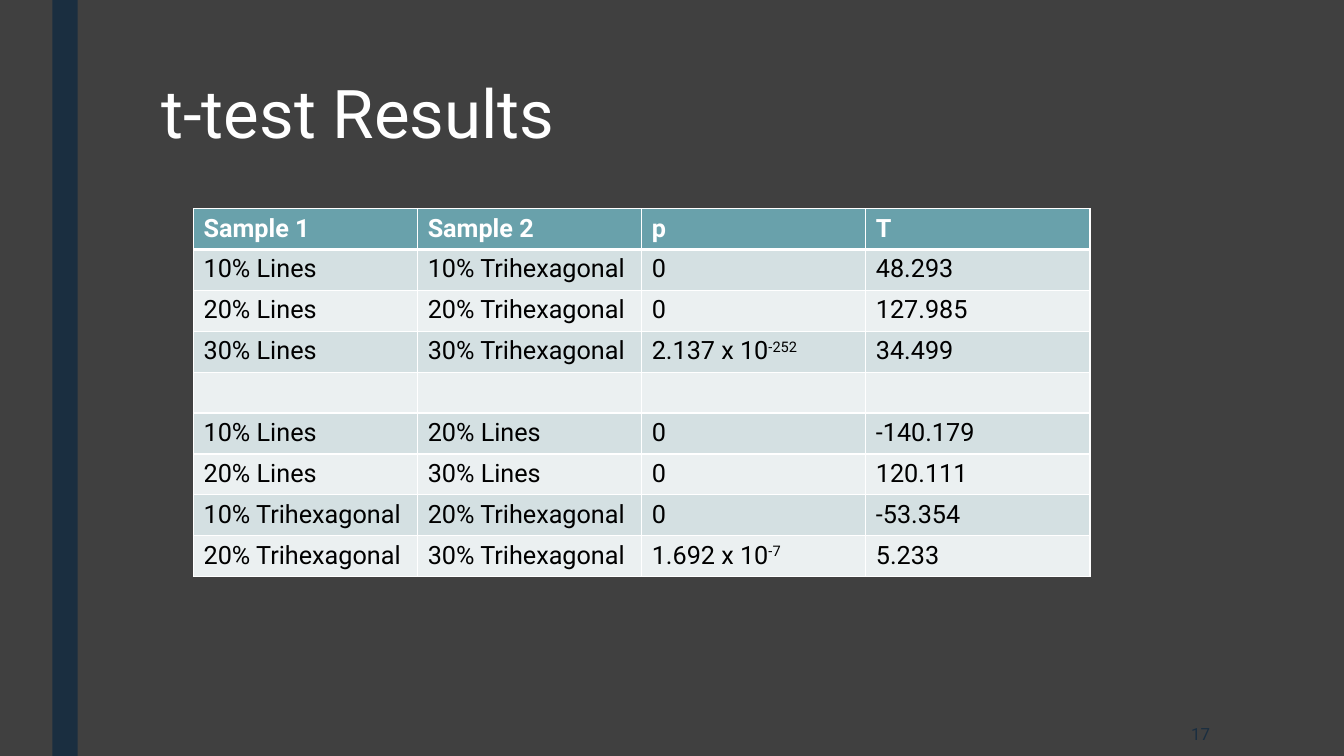
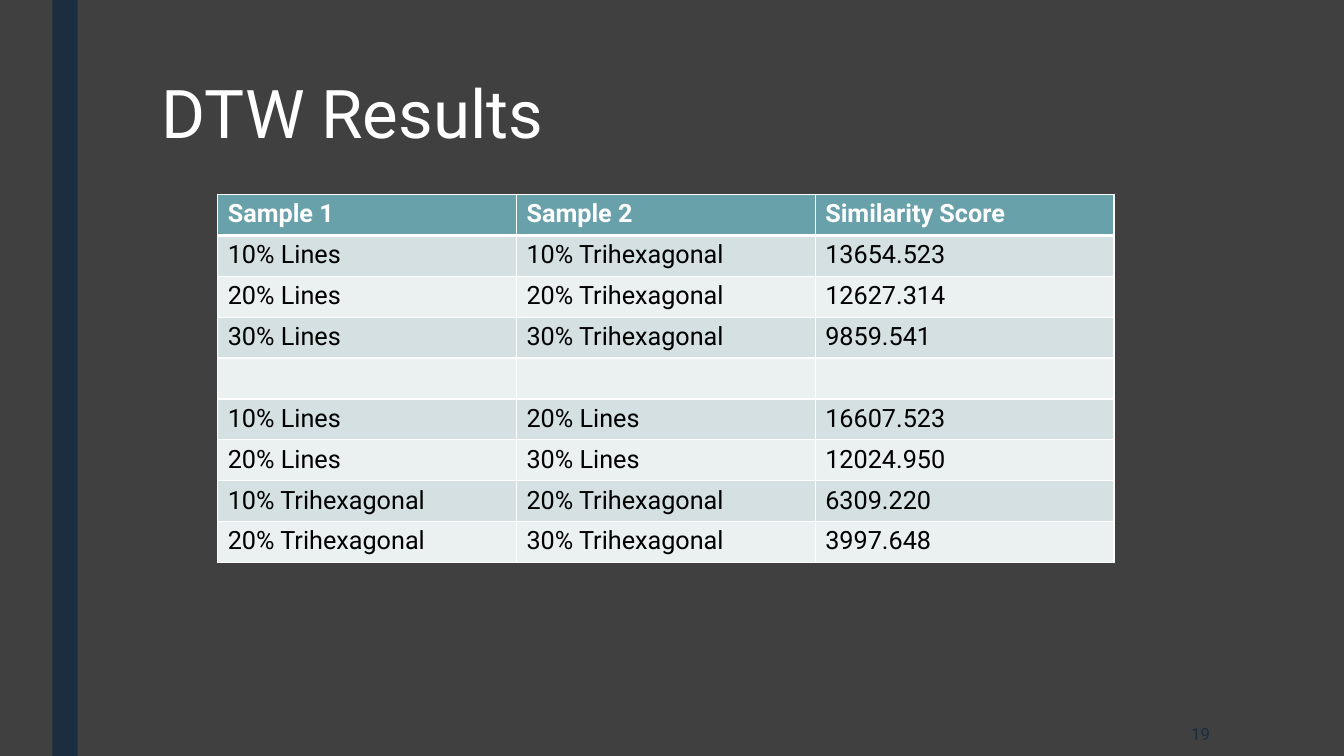
from dataclasses import dataclass

from lxml.etree import SubElement
from pptx import Presentation
from pptx.dml.color import RGBColor as Color
from pptx.enum.shapes import MSO_SHAPE as Shape
from pptx.enum.text import MSO_ANCHOR as Anchor, PP_ALIGN as Align
from pptx.oxml.ns import qn
from pptx.util import Inches, Pt


@dataclass(frozen=True)
class Theme:
    font: str = "Roboto"
    background: str = "404040"
    band: str = "1A2E40"
    light: str = "FFFFFF"
    dark: str = "000000"
    header: str = "69A1AB"
    stripes: tuple = ("D4E0E2", "EBF0F1")
    title_size: int = 48
    table_size: int = 18
    number_size: int = 12
    thin: int = 1
    thick: int = 3


class Deck:
    """Build slides that share one theme."""

    def __init__(self, theme):
        self.theme = theme
        self.slide = None
        self.presentation = Presentation()
        self.presentation.slide_width = Inches(13.33)
        self.presentation.slide_height = Inches(7.5)
        self.fill(self.presentation.slide_master.background, theme.background)

    def fill(self, target, color):
        target.fill.solid()
        target.fill.fore_color.rgb = Color.from_string(color)

    def style(self, paragraph, size, color, bold=False):
        font = paragraph.font
        font.name = self.theme.font
        font.size = Pt(size)
        font.bold = bold
        font.color.rgb = Color.from_string(color)

    def add_slide(self, title, number):
        layout = self.presentation.slide_layouts.get_by_name("Title Only")
        self.slide = self.presentation.slides.add_slide(layout)
        self.add_band()
        self.set_title(title)
        self.add_number(number)

    def add_band(self):
        band = self.slide.shapes.add_shape(
            Shape.RECTANGLE, Inches(0.52), 0, Inches(0.25), self.presentation.slide_height)
        band.shadow.inherit = False
        band.line.fill.background()
        self.fill(band, self.theme.band)

    def set_title(self, text):
        title = self.slide.shapes.title
        title.left, title.top = Inches(1.5), Inches(0.75)
        title.width, title.height = Inches(10.5), Inches(1.62)
        title.text_frame.text = text
        title.text_frame.vertical_anchor = Anchor.TOP
        paragraph = title.text_frame.paragraphs[0]
        paragraph.alignment = Align.LEFT
        paragraph.line_spacing = 0.89
        self.style(paragraph, self.theme.title_size, self.theme.light)

    def add_number(self, number):
        box = self.slide.shapes.add_textbox(Inches(11.1), Inches(7.13), Inches(1), Inches(0.3))
        frame = box.text_frame
        frame.word_wrap = True
        frame.vertical_anchor = Anchor.MIDDLE
        frame.text = str(number)
        paragraph = frame.paragraphs[0]
        paragraph.alignment = Align.RIGHT
        self.style(paragraph, self.theme.number_size, self.theme.band)

    def add_table(self, left, top, header, rows):
        width, height = Inches(8.89), Inches(3.65)
        table = self.slide.shapes.add_table(
            len(rows) + 1, len(header), Inches(left), Inches(top), width, height).table
        table.horz_banding = False
        for column in table.columns:
            column.width = width // len(header)
        for row_index, values in enumerate([header, *rows]):
            for column_index, text in enumerate(values):
                self.fill_cell(table.cell(row_index, column_index), text, row_index)

    def fill_cell(self, cell, text, row_index):
        theme = self.theme
        is_header = row_index == 0
        self.add_borders(cell,
                         top=theme.thick if row_index == 1 else theme.thin,
                         bottom=theme.thick if is_header else theme.thin)
        self.fill(cell, theme.header if is_header else theme.stripes[(row_index - 1) % 2])
        paragraph = cell.text_frame.paragraphs[0]
        base, _, exponent = text.partition("^")
        if base:
            paragraph.add_run().text = base
        if exponent:
            run = paragraph.add_run()
            run.text = exponent
            run._r.get_or_add_rPr().set("baseline", "30000")
        self.style(paragraph, theme.table_size, theme.light if is_header else theme.dark, is_header)

    def add_borders(self, cell, top, bottom):
        properties = cell._tc.get_or_add_tcPr()
        thin = self.theme.thin
        for side, points in (("L", thin), ("R", thin), ("T", top), ("B", bottom)):
            line = SubElement(properties, qn(f"a:ln{side}"), w=str(Pt(points)))
            solid = SubElement(line, qn("a:solidFill"))
            SubElement(solid, qn("a:srgbClr"), val=self.theme.light)


SAMPLE_PAIRS = [
    ("10% Lines", "10% Trihexagonal"),
    ("20% Lines", "20% Trihexagonal"),
    ("30% Lines", "30% Trihexagonal"),
    ("", ""),
    ("10% Lines", "20% Lines"),
    ("20% Lines", "30% Lines"),
    ("10% Trihexagonal", "20% Trihexagonal"),
    ("20% Trihexagonal", "30% Trihexagonal"),
]
T_TEST = [
    ("0", "48.293"), ("0", "127.985"), ("2.137 x 10^-252", "34.499"), ("", ""),
    ("0", "-140.179"), ("0", "120.111"), ("0", "-53.354"), ("1.692 x 10^-7", "5.233"),
]
SIMILARITY = [
    ("13654.523",), ("12627.314",), ("9859.541",), ("",),
    ("16607.523",), ("12024.950",), ("6309.220",), ("3997.648",),
]
RESULTS = [
    ("t-test Results", 17, 1.92, 2.07, ("p", "T"), T_TEST),
    ("DTW Results", 19, 2.16, 1.93, ("Similarity Score",), SIMILARITY),
]


def main():
    deck = Deck(Theme())
    for title, number, left, top, measures, scores in RESULTS:
        deck.add_slide(title, number)
        rows = [pair + score for pair, score in zip(SAMPLE_PAIRS, scores)]
        deck.add_table(left, top, ("Sample 1", "Sample 2", *measures), rows)
    deck.presentation.save("out.pptx")


if __name__ == "__main__":
    main()
